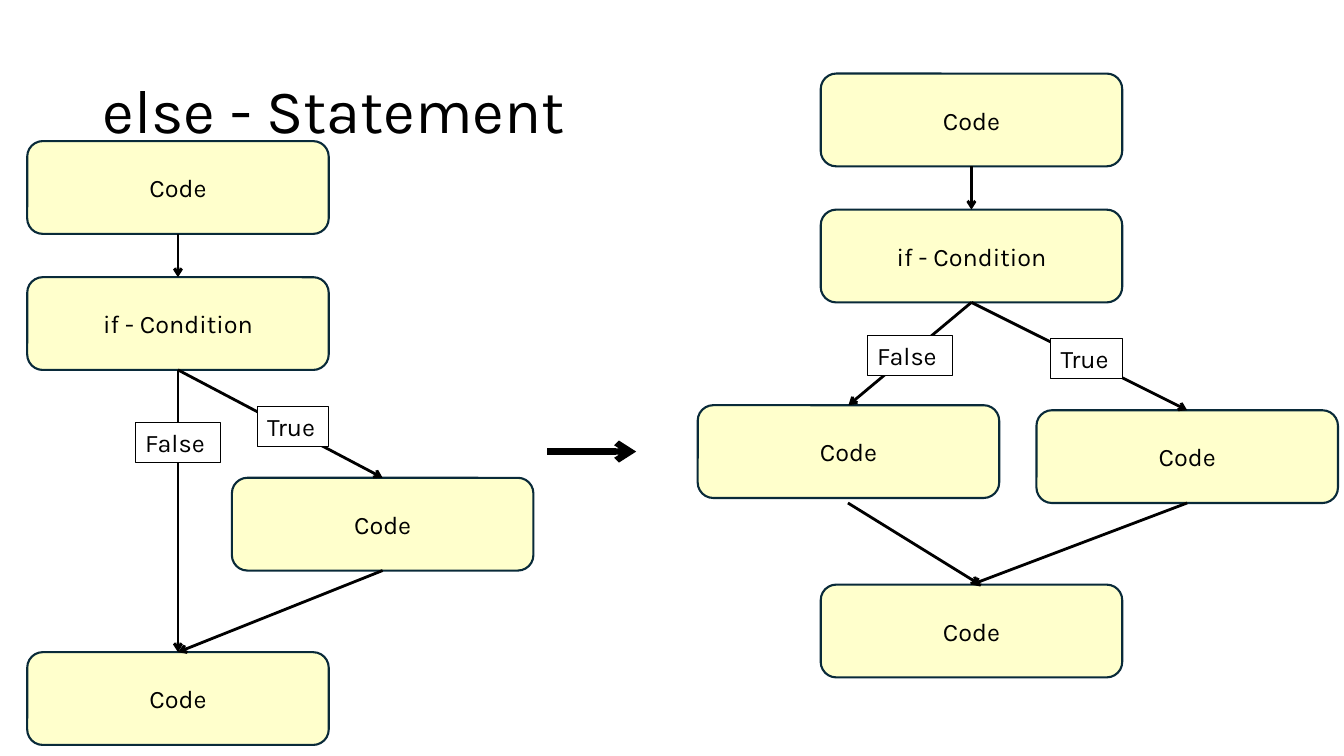
import pptx
import pptx.dml.color
import pptx.enum.shapes
import pptx.enum.text
import pptx.oxml
import pptx.oxml.ns
import pptx.util

Inches = pptx.util.Inches
Pt = pptx.util.Pt
SHAPES = pptx.enum.shapes.MSO_SHAPE
ANCHOR = pptx.enum.text.MSO_ANCHOR
ALIGN = pptx.enum.text.PP_ALIGN

FONT = "Karla"
BLACK, WHITE, NAVY, CREAM = "000000", "FFFFFF", "092A39", "FFFFCC"
STEP_WIDTH, STEP_HEIGHT = 2.99, 0.92
LABEL_HEIGHT = 0.4
TOP, BOTTOM = 0, 2


def color(hex_string):
    return pptx.dml.color.RGBColor.from_string(hex_string)


def write(shape, text, size, align, anchor):
    frame = shape.text_frame
    frame.text = text
    frame.vertical_anchor = anchor
    paragraph = frame.paragraphs[0]
    paragraph.alignment = align
    font = paragraph.runs[0].font
    font.name = FONT
    font.size = Pt(size)
    font.color.rgb = color(BLACK)


def add_box(slide, kind, left, top, width, height, fill, line, line_width):
    shape = slide.shapes.add_shape(
        kind, Inches(left), Inches(top), Inches(width), Inches(height))
    shape.shadow.inherit = False
    shape.fill.solid()
    shape.fill.fore_color.rgb = color(fill)
    shape.line.color.rgb = color(line)
    shape.line.width = Pt(line_width)
    return shape


def add_step(slide, text, left, top):
    shape = add_box(slide, SHAPES.ROUNDED_RECTANGLE, left, top,
                    STEP_WIDTH, STEP_HEIGHT, CREAM, NAVY, 1.5)
    write(shape, text, 18, ALIGN.CENTER, ANCHOR.MIDDLE)
    return shape


def add_label(slide, text, left, top, width):
    shape = add_box(slide, SHAPES.RECTANGLE, left, top,
                    width, LABEL_HEIGHT, WHITE, BLACK, 0.75)
    write(shape, text, 18, ALIGN.LEFT, ANCHOR.TOP)
    shape.text_frame.word_wrap = False
    shape.text_frame.auto_size = pptx.enum.text.MSO_AUTO_SIZE.SHAPE_TO_FIT_TEXT


def add_arrow(slide, start, end, width=2):
    connector = slide.shapes.add_connector(
        pptx.enum.shapes.MSO_CONNECTOR.STRAIGHT,
        *[Inches(value) for value in start + end])
    connector.line.color.rgb = color(BLACK)
    connector.line.width = Pt(width)
    namespace = pptx.oxml.ns.nsdecls("a")
    connector.line._get_or_add_ln().append(
        pptx.oxml.parse_xml(f'<a:tailEnd {namespace} type="arrow"/>'))
    connector._element.spPr.append(
        pptx.oxml.parse_xml(f"<a:effectLst {namespace}/>"))
    return connector


def join_steps(slide, upper, lower):
    connector = add_arrow(slide, (0, 0), (1, 1))
    connector.begin_connect(upper, BOTTOM)
    connector.end_connect(lower, TOP)


def add_title(slide, left, top, width, height):
    box = slide.shapes.add_textbox(
        Inches(left), Inches(top), Inches(width), Inches(height))
    box.text_frame.word_wrap = True
    write(box, "else - Statement", 44, ALIGN.LEFT, ANCHOR.MIDDLE)
    box.text_frame.paragraphs[0].line_spacing = 0.9


def add_flow(slide, left, top, true_offset):
    start = add_step(slide, "Code", left, top)
    condition = add_step(slide, "if - Condition", left, top + 1.35)
    true_step = add_step(slide, "Code", left + true_offset, top + 3.34)
    end = add_step(slide, "Code", left, top + 5.07)
    for upper, lower in ((start, condition), (condition, true_step), (true_step, end)):
        join_steps(slide, upper, lower)
    add_label(slide, "True", left + 2.28, top + 2.63, 0.71)
    return condition, end


def add_if_flow(slide, left, top):
    condition, end = add_flow(slide, left, top, 2.03)
    join_steps(slide, condition, end)
    add_label(slide, "False", left + 1.07, top + 2.79, 0.85)


def add_else_flow(slide, left, top):
    condition, end = add_flow(slide, left, top, 2.14)
    false_step = add_step(slide, "Code", left - 1.22, top + 3.29)
    join_steps(slide, condition, false_step)
    add_arrow(slide, (left + 0.27, top + 4.26), (left + 1.58, top + 5.07))
    add_label(slide, "False", left + 0.46, top + 2.6, 0.85)


def main():
    presentation = pptx.Presentation()
    presentation.slide_width = Inches(13.33)
    presentation.slide_height = Inches(7.5)
    slide = presentation.slides.add_slide(presentation.slide_layouts[6])
    add_title(slide, 0.92, 0.4, 11.5, 1.45)
    add_else_flow(slide, 8.14, 0.73)
    add_if_flow(slide, 0.27, 1.4)
    add_arrow(slide, (5.43, 4.48), (6.31, 4.48), 4.5)
    presentation.save("out.pptx")


if __name__ == "__main__":
    main()
